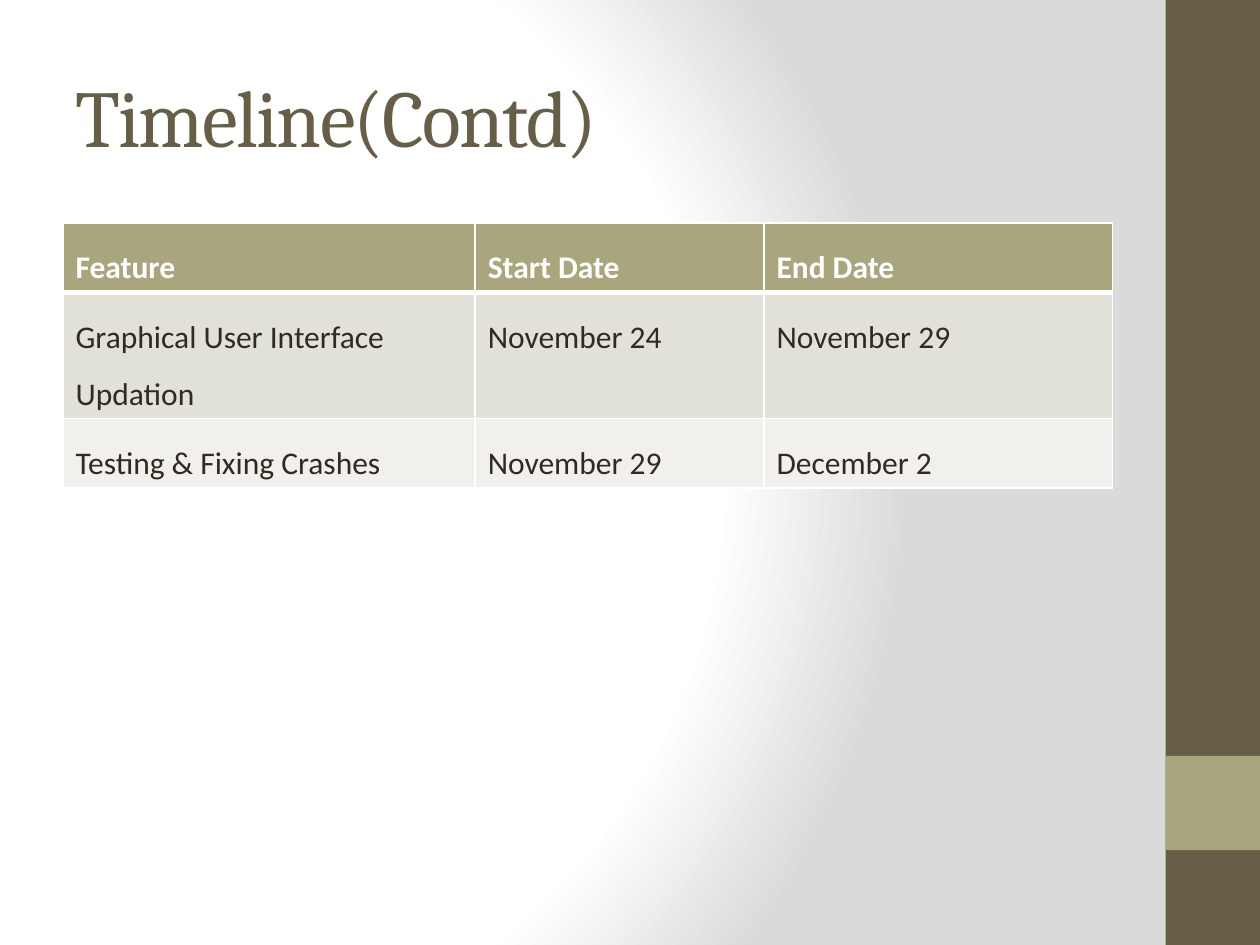
import pptx
import pptx.dml.color
import pptx.enum.shapes
import pptx.enum.text
import pptx.oxml
import pptx.oxml.ns
import pptx.util
from pptx.util import Cm

TITLE = "Timeline(Contd)"
ROWS = [
    ("Feature", "Start Date", "End Date"),
    ("Graphical User Interface Updation", "November 24", "November 29"),
    ("Testing & Fixing Crashes", "November 29", "December 2"),
]
COLUMN_WIDTHS = [8.31, 5.82, 7.03]
ROW_HEIGHT = 1.04
COLORS = {
    "brown": "675E47", "olive": "A9A57C", "white": "FFFFFF", "grey": "DADADA",
    "ink": "2F2B20", "dark band": "E2E1D7", "light band": "F1F0EC",
}
ROW_FILLS = ["olive", "dark band", "light band"]
GRADIENT = [(0, "white"), (75, "white"), (100, "grey")]
# Left, top, width, height, colour
SIDEBAR = [(23.5, 0, 1.9, 19.05, "brown"), (23.5, 15.24, 1.9, 1.9, "olive")]
NAMESPACE = pptx.oxml.ns.nsdecls("a")


def rgb(name):
    return pptx.dml.color.RGBColor.from_string(COLORS[name])


def write(text_frame, text, *, size, font, color, bold=False, line_spacing=None, tracking=None):
    paragraph = text_frame.paragraphs[0]
    paragraph.line_spacing = line_spacing
    run = paragraph.add_run()
    run.text = text
    run.font.size = pptx.util.Pt(size)
    run.font.name = font
    run.font.bold = bold
    run.font.color.rgb = rgb(color)
    if tracking is not None:
        run.font._element.set("spc", str(tracking * 100))


def set_borders(cell, widths):
    properties = cell._tc.get_or_add_tcPr()
    for position, (side, width) in enumerate(widths.items()):
        properties.insert(position, pptx.oxml.parse_xml(
            f'<a:ln{side} {NAMESPACE} w="{pptx.util.Pt(width)}"><a:solidFill>'
            f'<a:srgbClr val="{COLORS["white"]}"/></a:solidFill></a:ln{side}>'))


presentation = pptx.Presentation()
presentation.slide_width, presentation.slide_height = Cm(25.4), Cm(19.05)
slide = presentation.slides.add_slide(presentation.slide_layouts[6])

# Radial background
slide.background.fill.gradient()
gradient = slide.element.find(".//" + pptx.oxml.ns.qn("a:gradFill"))
stops = "".join(
    f'<a:gs pos="{position * 1000}"><a:srgbClr val="{COLORS[color]}"/></a:gs>'
    for position, color in GRADIENT)
gradient.getparent().replace(gradient, pptx.oxml.parse_xml(
    f'<a:gradFill {NAMESPACE} rotWithShape="1"><a:gsLst>{stops}</a:gsLst><a:path path="circle">'
    '<a:fillToRect l="20000" t="50000" r="100000" b="50000"/></a:path></a:gradFill>'))

# Sidebar
for left, top, width, height, color in SIDEBAR:
    shape = slide.shapes.add_shape(
        pptx.enum.shapes.MSO_SHAPE.RECTANGLE, Cm(left), Cm(top), Cm(width), Cm(height))
    shape.shadow.inherit = False
    shape.fill.solid()
    shape.fill.fore_color.rgb = rgb(color)
    shape.line.fill.background()

# Title
title = slide.shapes.add_textbox(Cm(1.27), Cm(0.74), Cm(21.16), Cm(3.18)).text_frame
title.word_wrap = True
title.vertical_anchor = pptx.enum.text.MSO_ANCHOR.MIDDLE
write(title, TITLE, size=46, font="Cambria", color="brown", tracking=-1)

# Timeline table
table = slide.shapes.add_table(
    len(ROWS), len(COLUMN_WIDTHS), Cm(1.27), Cm(4.5),
    Cm(sum(COLUMN_WIDTHS)), Cm(ROW_HEIGHT * len(ROWS))).table
for column, width in zip(table.columns, COLUMN_WIDTHS):
    column.width = Cm(width)
for row_index, texts in enumerate(ROWS):
    table.rows[row_index].height = Cm(ROW_HEIGHT)
    header = row_index == 0
    for column_index, text in enumerate(texts):
        cell = table.cell(row_index, column_index)
        cell.fill.solid()
        cell.fill.fore_color.rgb = rgb(ROW_FILLS[row_index])
        set_borders(cell, {"L": 1, "R": 1, "T": 3 if row_index == 1 else 1, "B": 3 if header else 1})
        write(cell.text_frame, text, size=18, font="Calibri", bold=header,
              color="white" if header else "ink", line_spacing=1.5)

presentation.save("out.pptx")
